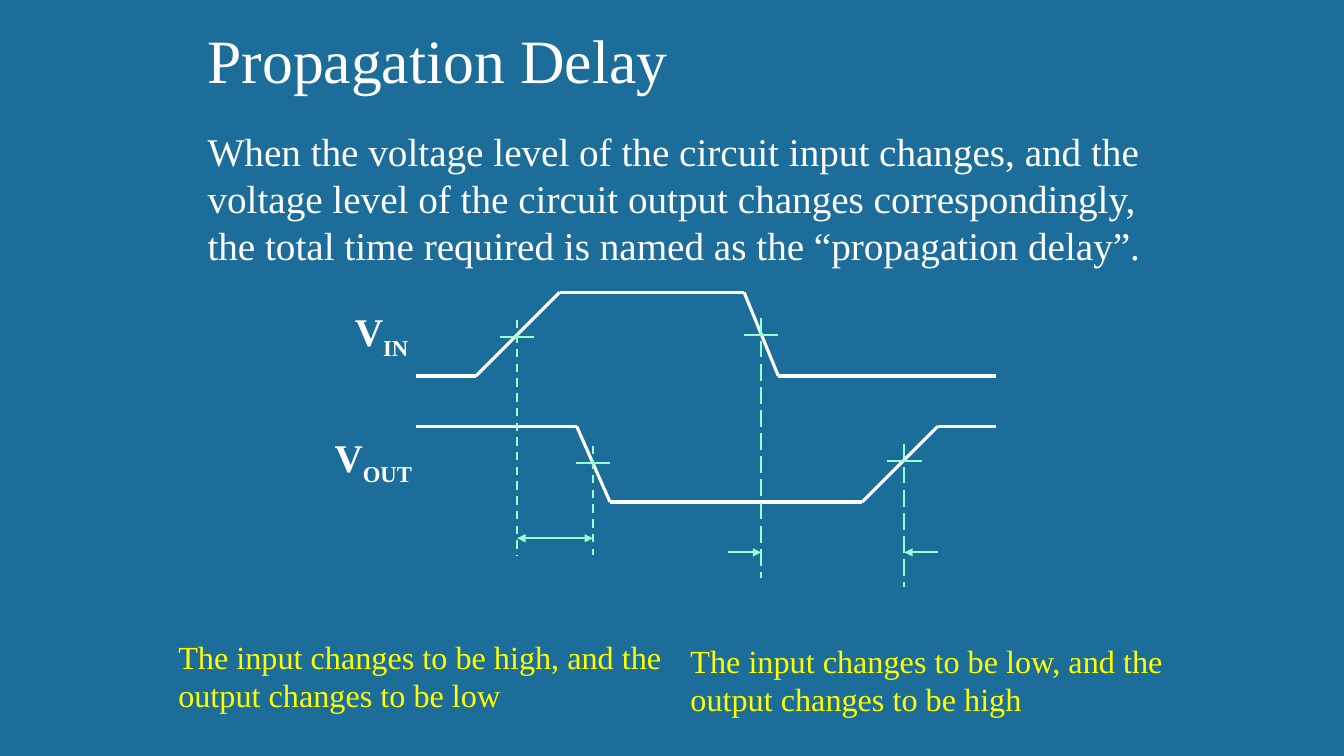
from dataclasses import dataclass
from itertools import pairwise

from lxml.etree import SubElement
from pptx import Presentation
from pptx.dml.color import RGBColor
from pptx.enum.dml import MSO_LINE_DASH_STYLE as Dash
from pptx.enum.shapes import MSO_CONNECTOR_TYPE as Connector
from pptx.enum.text import MSO_AUTO_SIZE as AutoSize
from pptx.oxml.ns import qn
from pptx.shapes.shapetree import GroupShapes, SlideShapes
from pptx.util import Inches, Pt

COLORS = {
    "background": "1C6D9A",
    "signal": "FFFFFF",
    "marker": "99FFCC",
    "caption": "FFFF00",
}
FONT = "Times New Roman"
TICK = 0.17

Point = tuple[float, float]


@dataclass(frozen=True)
class Label:
    text: str
    left: float
    top: float
    width: float
    height: float
    size: int
    color: str = "signal"
    wrap: bool = True
    bold: bool = False
    subscript: str = ""


@dataclass(frozen=True)
class Waveform:
    points: list[Point]
    label: Label


@dataclass(frozen=True)
class Crossing:
    x: float
    y: float
    bottom: float


@dataclass(frozen=True)
class Arrow:
    start: Point
    end: Point
    double: bool = False


@dataclass(frozen=True)
class Delay:
    crossings: list[Crossing]
    arrows: list[Arrow]
    dash: Dash


WAVEFORMS = [
    Waveform(
        [(4.13, 3.73), (4.72, 3.73), (5.55, 2.9), (7.38, 2.9), (7.72, 3.73), (9.88, 3.73)],
        Label("V", 3.42, 3, 0.78, 0.57, 28, wrap=False, bold=True, subscript="IN"),
    ),
    Waveform(
        [(4.13, 4.23), (5.72, 4.23), (6.05, 4.98), (8.55, 4.98), (9.3, 4.23), (9.88, 4.23)],
        Label("V", 3.22, 4.25, 1.05, 0.57, 28, wrap=False, bold=True, subscript="OUT"),
    ),
]

DELAYS = [
    Delay(
        [Crossing(7.55, 3.32, 5.73), Crossing(8.97, 4.57, 5.82)],
        [Arrow((7.22, 5.48), (7.55, 5.48)), Arrow((9.3, 5.48), (8.97, 5.48))],
        Dash.LONG_DASH,
    ),
    Delay(
        [Crossing(5.13, 3.34, 5.51), Crossing(5.88, 4.59, 5.51)],
        [Arrow((5.13, 5.34), (5.88, 5.34), double=True)],
        Dash.DASH,
    ),
]

LABELS = [
    Label(
        "When the voltage level of the circuit input changes, and the voltage level of "
        "the circuit output changes correspondingly, the total time required is named "
        "as the “propagation delay”.",
        1.96, 1.21, 9.68, 1.51, 28,
    ),
    Label("Propagation Delay", 1.96, 0.17, 4.81, 0.84, 44, wrap=False),
    Label(
        "The input changes to be high, and the output changes to be low",
        1.67, 6.27, 5, 0.91, 23, "caption",
    ),
    Label(
        "The input changes to be low, and the output changes to be high",
        6.75, 6.31, 5, 0.91, 23, "caption",
    ),
]


def draw_line(
    shapes: GroupShapes,
    start: Point,
    end: Point,
    color: str,
    weight: float,
    dash: Dash | None = None,
    arrowheads: tuple[str, ...] = (),
) -> None:
    ends = [Inches(length) for length in (*start, *end)]
    connector = shapes.add_connector(Connector.STRAIGHT, *ends)
    connector.line.color.rgb = RGBColor.from_string(COLORS[color])
    connector.line.width = Pt(weight)
    if dash is not None:
        connector.line.dash_style = dash
    properties = connector._element.spPr
    outline = properties.find(qn("a:ln"))
    for arrowhead in arrowheads:
        SubElement(outline, qn(f"a:{arrowhead}")).set("type", "triangle")
    SubElement(properties, qn("a:effectLst"))


def draw_label(shapes: SlideShapes | GroupShapes, label: Label) -> None:
    box = shapes.add_textbox(
        Inches(label.left), Inches(label.top), Inches(label.width), Inches(label.height)
    )
    frame = box.text_frame
    frame.word_wrap = label.wrap
    frame.auto_size = AutoSize.SHAPE_TO_FIT_TEXT
    paragraph = frame.paragraphs[0]
    paragraph.add_run().text = label.text
    if label.subscript:
        subscript = paragraph.add_run()
        subscript.text = label.subscript
        subscript._r.get_or_add_rPr().set("baseline", "-25000")
    font = paragraph.font
    font.name = FONT
    font.size = Pt(label.size)
    font.bold = label.bold
    font.color.rgb = RGBColor.from_string(COLORS[label.color])


def draw_waveform(shapes: SlideShapes, waveform: Waveform) -> None:
    group = shapes.add_group_shape().shapes
    for start, end in pairwise(waveform.points):
        draw_line(group, start, end, "signal", 2.25)
    draw_label(group, waveform.label)


def draw_delay(shapes: SlideShapes, delay: Delay) -> None:
    group = shapes.add_group_shape().shapes
    for crossing in delay.crossings:
        x, y = crossing.x, crossing.y
        draw_line(group, (x, y - TICK), (x, crossing.bottom), "marker", 1.5, delay.dash)
        draw_line(group, (x - TICK, y), (x + TICK, y), "marker", 1.5)
    for arrow in delay.arrows:
        arrowheads = ("headEnd", "tailEnd") if arrow.double else ("tailEnd",)
        draw_line(group, arrow.start, arrow.end, "marker", 1.5, arrowheads=arrowheads)


def main() -> None:
    deck = Presentation()
    deck.slide_width = Inches(13.33)
    deck.slide_height = Inches(7.5)
    slide = deck.slides.add_slide(deck.slide_layouts[6])
    fill = slide.background.fill
    fill.solid()
    fill.fore_color.rgb = RGBColor.from_string(COLORS["background"])
    for waveform in WAVEFORMS:
        draw_waveform(slide.shapes, waveform)
    for delay in DELAYS:
        draw_delay(slide.shapes, delay)
    for label in LABELS:
        draw_label(slide.shapes, label)
    deck.save("out.pptx")


if __name__ == "__main__":
    main()
